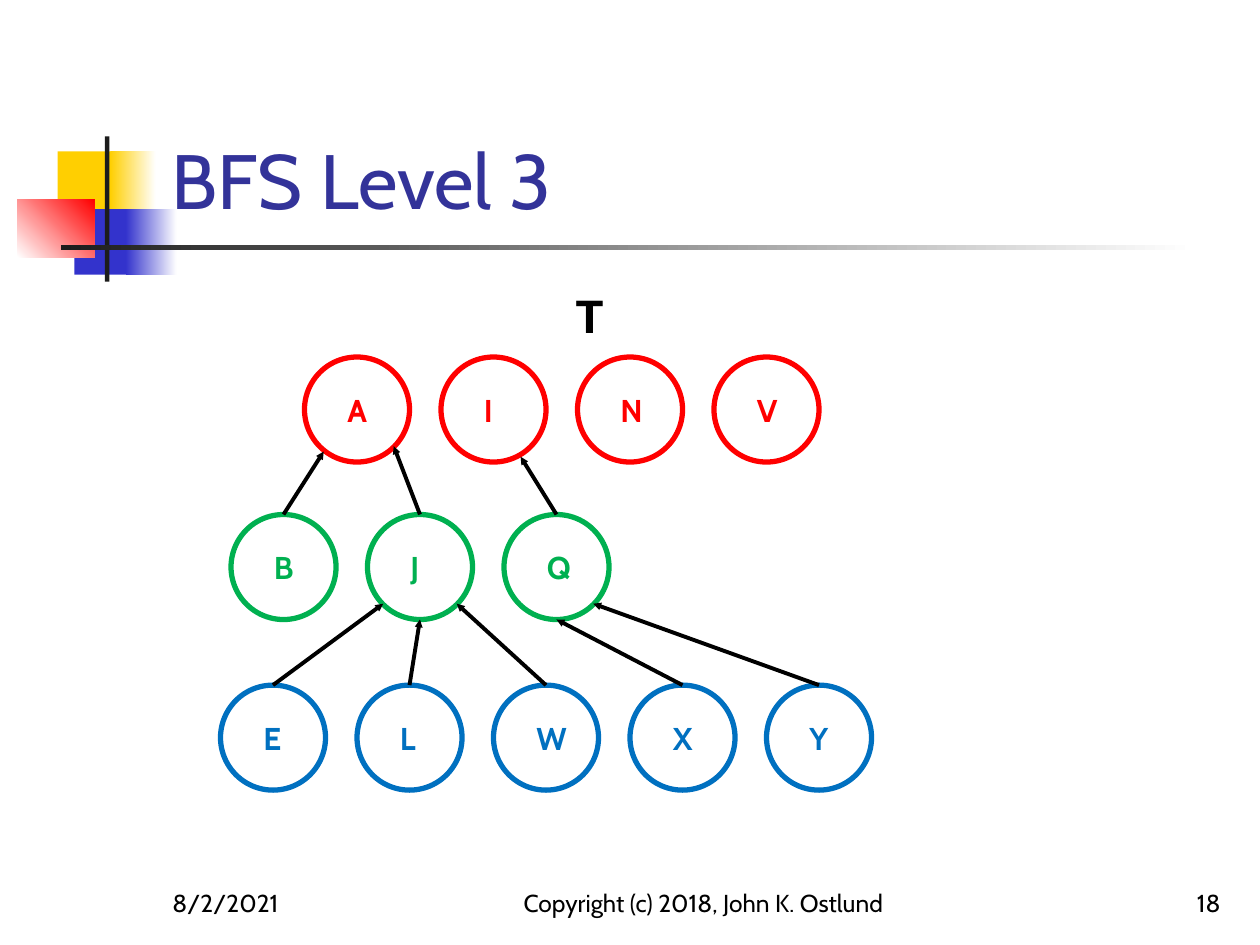
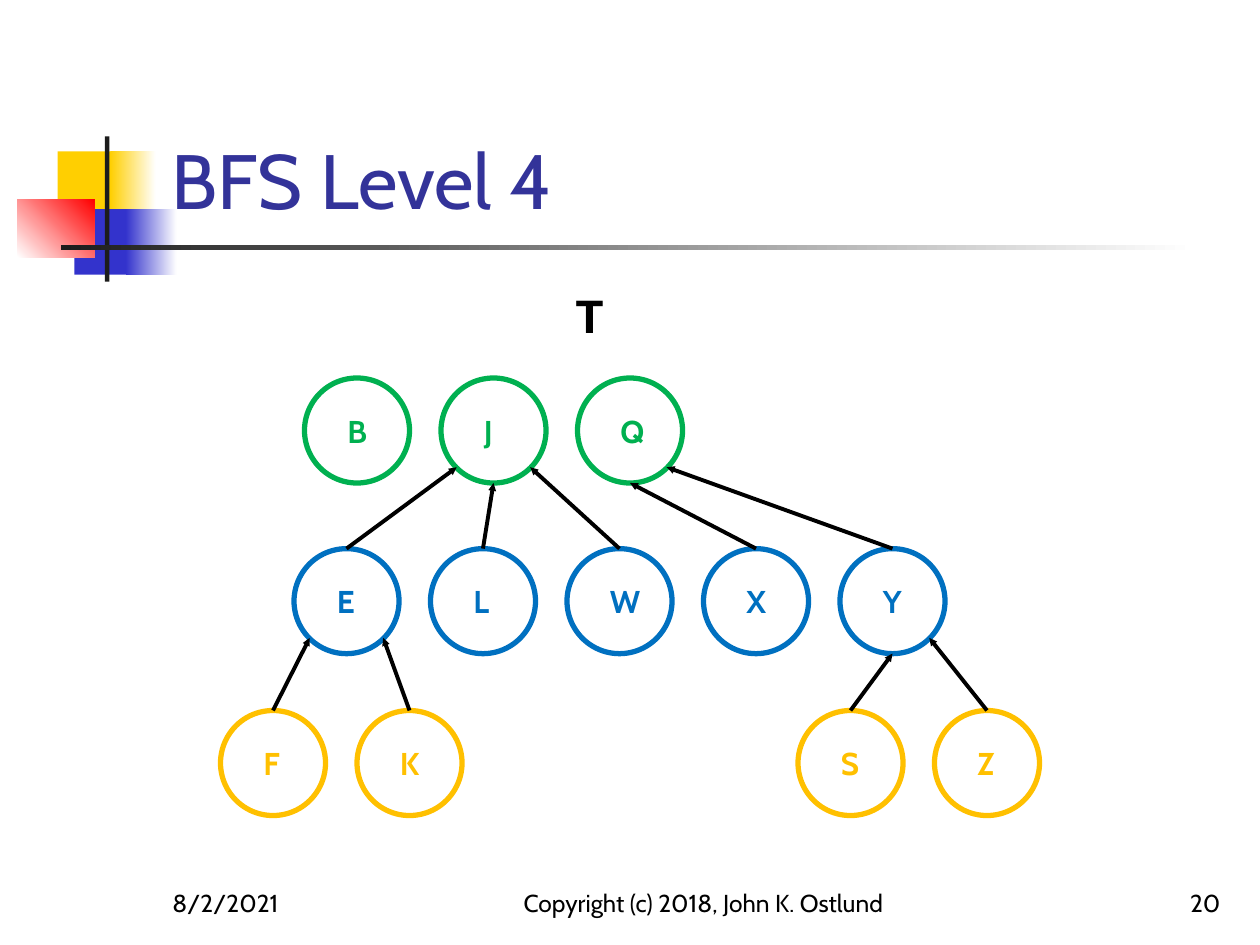
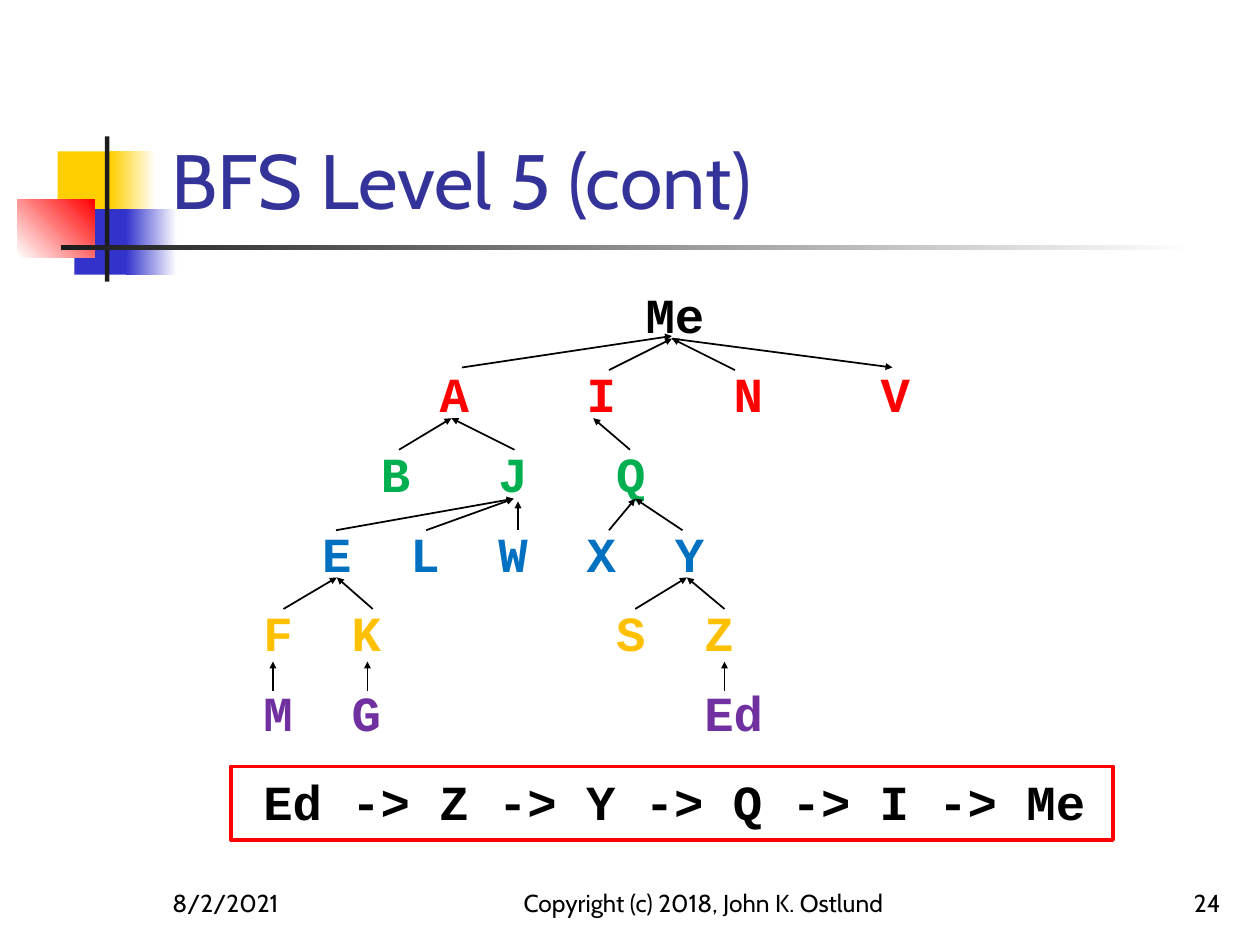
from lxml import etree
from pptx import Presentation
from pptx.dml.color import RGBColor
from pptx.enum.shapes import MSO_CONNECTOR as Link, MSO_SHAPE as Preset
from pptx.enum.text import MSO_ANCHOR as Anchor, PP_ALIGN as Align
from pptx.oxml.ns import qn
from pptx.util import Pt

COLORS = {
    "black": "000000", "white": "FFFFFF", "title": "333399", "ink": "1C1C1C",
    "yellow": "FFCF01", "indigo": "3333CC", "red": "FF0000", "green": "00B050",
    "blue": "0070C0", "gold": "FFC000", "purple": "7030A0",
}
RGB = {name: RGBColor.from_string(value) for name, value in COLORS.items()}

# Shared decoration: left, top, width, height, start colour, end colour, angle
BANDS = [
    (33, 86.5, 34.5, 37.5, "yellow", None, 0),
    (63, 86.5, 26, 37.5, "yellow", "white", 0),
    (42.5, 119.5, 33, 37.5, "indigo", None, 0),
    (72, 119.5, 29, 37.5, "indigo", "white", 0),
    (10, 114, 44, 33, "white", "red", 45),
    (60, 78, 2.5, 83, "ink", None, 0),
    (35, 140, 648, 2.75, "ink", "white", 0),
]
FOOTERS = [(91.5, 150, Align.LEFT), (288, 228, Align.CENTER), (554.5, 150, Align.RIGHT)]

# Circle trees: size, pitch, and where an arrow touches the parent circle
SIZE, PITCH = 60, 78
TOUCH = {
    "left": (9, 51), "bottom": (30, 60), "right": (51, 51),
    "lower left": (11, 54), "lower right": (45.5, 57),
}
LEVEL_LINKS = [("J", "E", "left"), ("J", "L", "bottom"), ("J", "W", "right"),
               ("Q", "X", "bottom"), ("Q", "Y", "right")]

# Letter rows stand on a grid of monospaced columns: colour, space before, words
COLUMN = 16.8
ROW_GAP, RESULT_GAP = 11.9, 17.5
ROOT_ROW = [("black", 0, {13.6: "T"})]

SLIDES = [
    {
        "title": "BFS Level 3", "number": "18", "rows": ROOT_ROW,
        "circles": [(174, 204, "red", "AINV"), (132, 294, "green", "BJQ"),
                    (126, 391.5, "blue", "ELWXY")],
        "links": [("A", "B", "lower left"), ("A", "J", "right"),
                  ("I", "Q", "lower right")] + LEVEL_LINKS,
    },
    {
        "title": "BFS Level 4", "number": "20", "rows": ROOT_ROW,
        "circles": [(174, 216, "green", "BJQ"), (168, 313.5, "blue", "ELWXY"),
                    (126, 406, "gold", "FK"), (456, 406, "gold", "SZ")],
        "links": LEVEL_LINKS + [("E", "F", "left"), ("E", "K", "right"),
                                ("Y", "S", "bottom"), ("Y", "Z", "right")],
    },
    {
        "title": "BFS Level 5 (cont)", "number": "24",
        "rows": [
            ("black", 0, {16: "Me"}),
            ("red", ROW_GAP, {9: "A", 14: "I", 19: "N", 24: "V"}),
            ("green", ROW_GAP, {7: "B", 11: "J", 15: "Q"}),
            ("blue", ROW_GAP, {5: "E", 8: "L", 11: "W", 14: "X", 17: "Y"}),
            ("gold", ROW_GAP, {3: "F", 6: "K", 15: "S", 18: "Z"}),
            ("purple", ROW_GAP, {3: "M", 6: "G", 18: "Ed"}),
            ("black", RESULT_GAP, {3: "Ed -> Z -> Y -> Q -> I -> Me"}),
        ],
        "circles": [], "links": [],
    },
]

# Letter tree: arrow tip, then the other ends of its lines
LETTER_ARROWS = [
    ((384, 192), [(264, 210)]),
    ((384, 193.5), [(348, 211.5), (420, 211.5)]),
    ((510, 210), [(384, 193.5)]),
    ((258, 239), [(228, 257), (294, 257)]),
    ((339, 239), [(360, 257)]),
    ((293.5, 285), [(192, 303), (243.5, 303)]),
    ((296, 286.5), [(296, 303)]),
    ((363, 285), [(348, 303), (390, 303)]),
    ((192.5, 330), [(162, 348), (213, 348)]),
    ((392.5, 330), [(363, 348), (414, 348)]),
    ((156, 378), [(156, 395)]),
    ((210, 378), [(210, 395)]),
    ((414, 378), [(414, 395)]),
]


def write(page, text, left, top, width, height, size, color="black", align=Align.LEFT):
    box = page.shapes.add_textbox(Pt(left), Pt(top), Pt(width), Pt(height))
    frame = box.text_frame
    frame.word_wrap = True
    frame.vertical_anchor = Anchor.BOTTOM
    frame.text = text
    para = frame.paragraphs[0]
    para.alignment = align
    font = para.runs[0].font
    font.name, font.size, font.color.rgb = "Cabin", Pt(size), RGB[color]


def draw_arrow(page, tip, end, weight):
    arrow = page.shapes.add_connector(Link.STRAIGHT, *[Pt(v) for v in (*tip, *end)])
    arrow.line.color.rgb = RGB["black"]
    arrow.line.width = Pt(weight)
    outline = arrow.line._get_or_add_ln()
    etree.SubElement(outline, qn("a:headEnd"), type="triangle", w="sm", len="sm")
    etree.SubElement(arrow._element.spPr, qn("a:effectLst"))
    return arrow


deck = Presentation()
deck.slide_width, deck.slide_height = Pt(720), Pt(540)

for content in SLIDES:
    page = deck.slides.add_slide(deck.slide_layouts[6])

    # Coloured bands and rules
    for left, top, width, height, start, finish, angle in BANDS:
        band = page.shapes.add_shape(Preset.RECTANGLE, Pt(left), Pt(top), Pt(width), Pt(height))
        band.shadow.inherit = False
        band.line.fill.background()
        if finish:
            band.fill.gradient()
            band.fill.gradient_angle = angle
            for stop, color in zip(band.fill.gradient_stops, (start, finish)):
                stop.color.rgb = RGB[color]
                stop.position = 0 if color == start else 1
        else:
            band.fill.solid()
            band.fill.fore_color.rgb = RGB[start]

    # Title and footers
    write(page, content["title"], 91, 17, 613.5, 115, 44, "title")
    notes = ("8/2/2021", "Copyright (c) 2018, John K. Ostlund", content["number"])
    for note, (left, width, align) in zip(notes, FOOTERS):
        write(page, note, left, 492, width, 36, 14, align=align)

    # Letter rows, each word at its own tab stop
    box = page.shapes.add_textbox(Pt(93), Pt(159), Pt(612), Pt(324))
    frame = box.text_frame
    frame.word_wrap = True
    frame.margin_top = Pt(3.4)
    for index, (color, gap, words) in enumerate(content["rows"]):
        para = frame.add_paragraph() if index else frame.paragraphs[0]
        para.text = "".join("\t" + word for word in words.values())
        tabs = etree.SubElement(para._p.get_or_add_pPr(), qn("a:tabLst"))
        for column in words:
            etree.SubElement(tabs, qn("a:tab"), pos=str(Pt(column * COLUMN)), algn="l")
        para.space_before = Pt(gap)
        for span in para.runs:
            span.font.name, span.font.size, span.font.bold = "Courier New", Pt(28), True
            span.font.color.rgb = RGB[color]

    # Circles
    nodes = {}
    for left, top, color, letters in content["circles"]:
        for index, letter in enumerate(letters):
            node = page.shapes.add_shape(
                Preset.OVAL, Pt(left + index * PITCH), Pt(top), Pt(SIZE), Pt(SIZE))
            node.shadow.inherit = False
            node.fill.background()
            node.line.color.rgb = RGB[color]
            node.line.width = Pt(3)
            frame = node.text_frame
            frame.word_wrap = True
            frame.vertical_anchor = Anchor.MIDDLE
            frame.margin_left = Pt(15.7)
            frame.margin_top = frame.margin_right = frame.margin_bottom = 0
            frame.text = letter
            para = frame.paragraphs[0]
            para.alignment = Align.LEFT
            font = para.runs[0].font
            font.name, font.size, font.bold = "Cabin", Pt(18), True
            font.color.rgb = RGB[color]
            nodes[letter] = node

    # Arrows from each child circle up to its parent
    for parent, child, side in content["links"]:
        x, y = TOUCH[side]
        tip = (nodes[parent].left.pt + x, nodes[parent].top.pt + y)
        arrow = draw_arrow(page, tip, tip, 2.25)
        arrow.end_connect(nodes[child], 0)

# Arrows and result frame of the letter tree, on the last slide
for tip, ends in LETTER_ARROWS:
    for end in ends:
        draw_arrow(page, tip, end, 1)
result = page.shapes.add_shape(Preset.RECTANGLE, Pt(132), Pt(438), Pt(504), Pt(42))
result.shadow.inherit = False
result.fill.background()
result.line.color.rgb = RGB["red"]
result.line.width = Pt(2.25)

deck.save("out.pptx")
